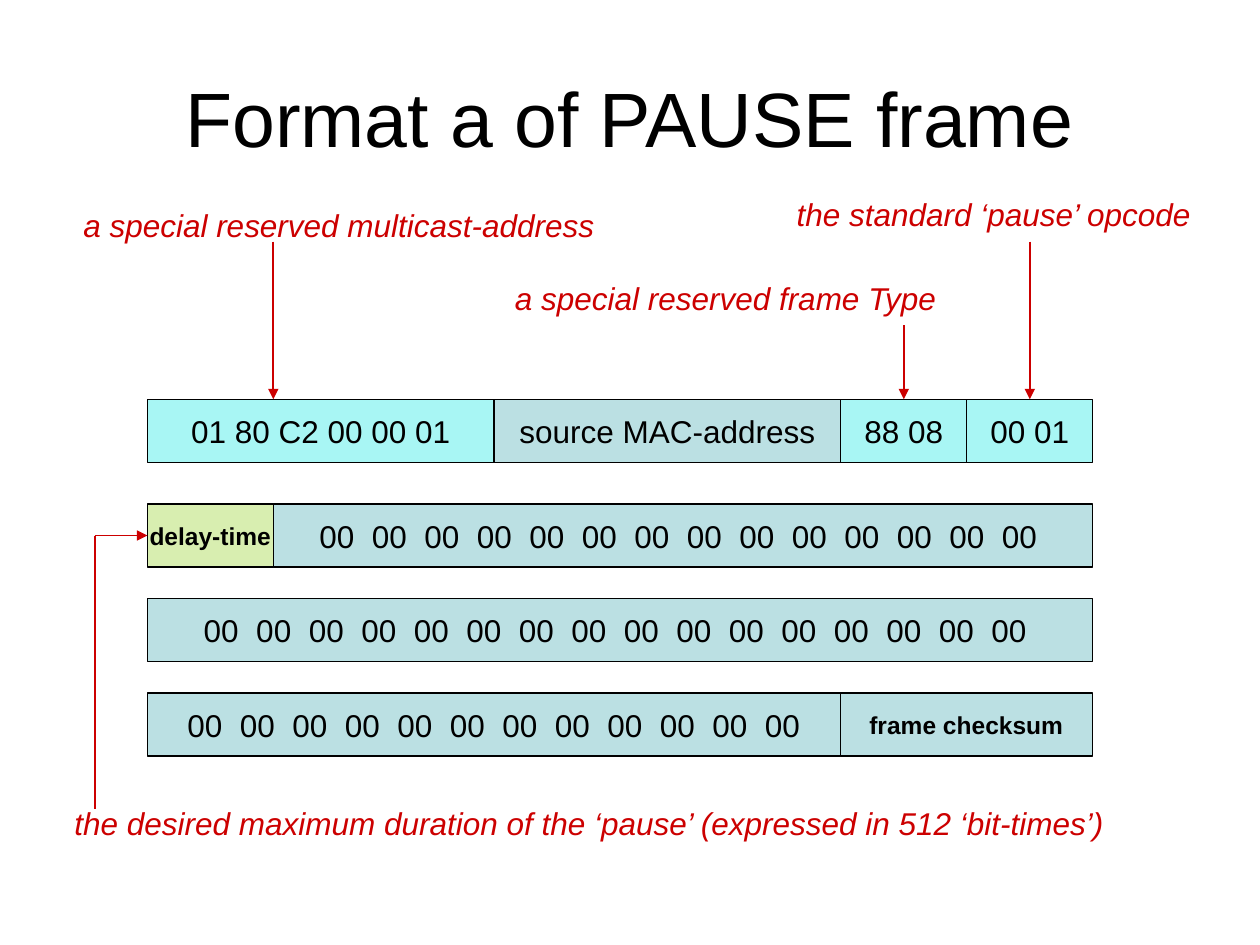
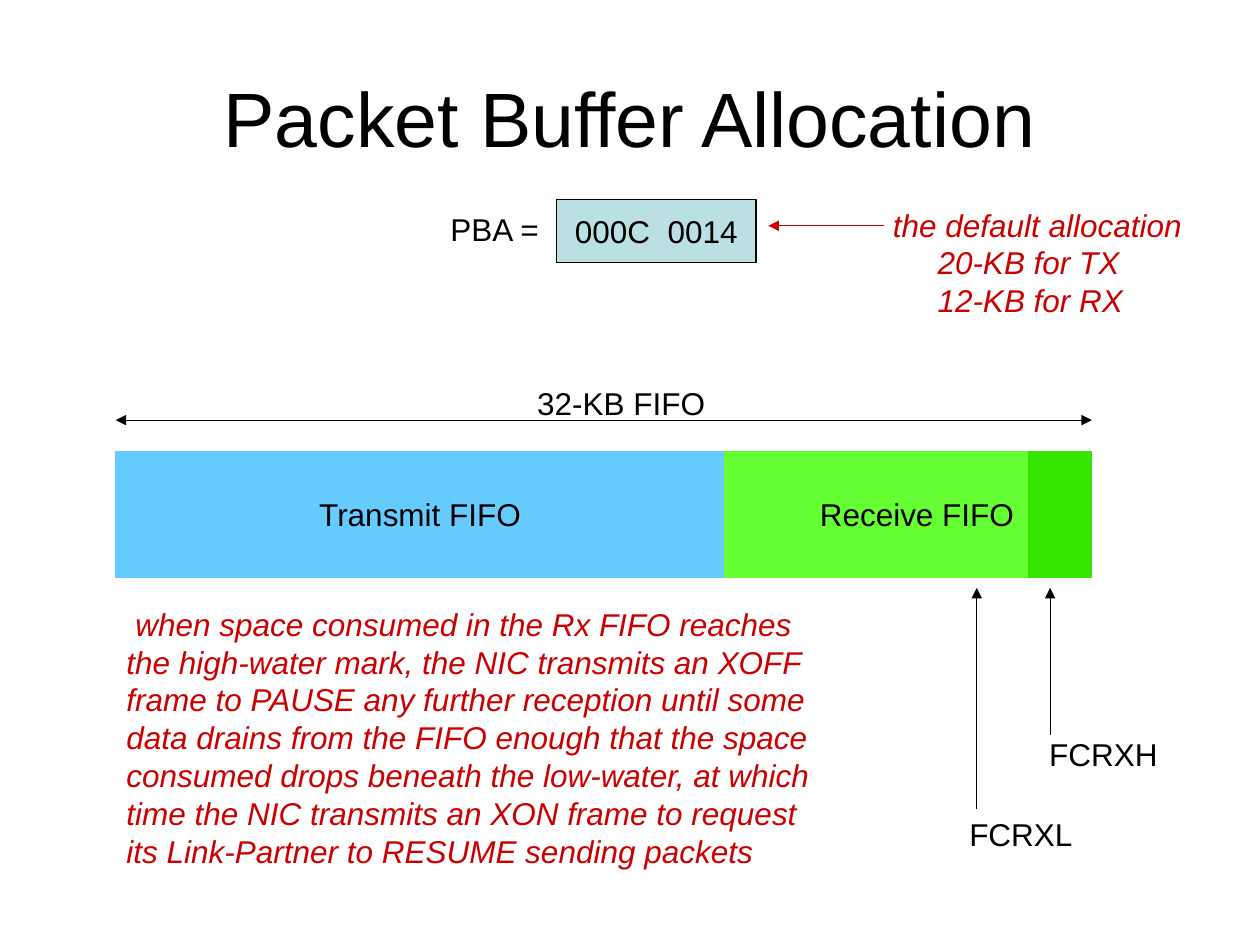
"""Build two slides on PAUSE frames and packet buffer allocation."""
from dataclasses import dataclass

from lxml import etree
from pptx import Presentation
from pptx import util as u
from pptx.dml.color import RGBColor
from pptx.enum import shapes, text
from pptx.oxml import ns

BLACK = RGBColor(0x00, 0x00, 0x00)
RED = RGBColor(0xCC, 0x00, 0x00)
CYAN = RGBColor(0xA8, 0xF6, 0xF4)
TEAL = RGBColor(0xBB, 0xE0, 0xE3)
LIME = RGBColor(0xD8, 0xEE, 0xB0)
BLUE = RGBColor(0x66, 0xCC, 0xFF)
GREEN = RGBColor(0x66, 0xFF, 0x33)
DARK_GREEN = RGBColor(0x37, 0xE6, 0x00)
FONT = "Arial"
SPACE = 0.18
CELL_H = 1.27
FRAME_X = 2.97
TOP, LEFT = 0, 1


@dataclass
class Cell:
    """One field in a horizontal row, with side insets in centimetres."""
    words: str
    width: float
    fill: RGBColor = TEAL
    line: RGBColor = BLACK
    size: int = 18
    bold: bool = False
    left_inset: float = 0
    right_inset: float = 0


@dataclass
class Note:
    """A free label whose lines may each have a left indent."""
    x: float
    y: float
    width: float
    lines: tuple[str, ...]
    color: RGBColor = BLACK
    indents: tuple[float, ...] = ()


@dataclass
class Arrow:
    """A straight line with optional arrowheads and an optional target."""
    x1: float
    y1: float
    x2: float
    y2: float
    color: RGBColor = BLACK
    width: float = 0.75
    head: bool = False
    tail: bool = True
    target: object = None
    site: int = TOP


def add_run(p, words: str, size: int, color: RGBColor,
            bold: bool = False, italic: bool = False) -> None:
    """Append one formatted run to a paragraph."""
    r = p.add_run()
    r.text = words
    r.font.name, r.font.size = FONT, u.Pt(size)
    r.font.bold, r.font.italic = bold, italic
    r.font.color.rgb = color


def add_title(s, words: str) -> None:
    """Draw the centred slide title."""
    sp = s.shapes.add_textbox(u.Cm(1.27), u.Cm(0.76), u.Cm(22.86), u.Cm(3.18))
    tf = sp.text_frame
    tf.word_wrap = True
    tf.vertical_anchor = text.MSO_ANCHOR.MIDDLE
    p = tf.paragraphs[0]
    p.alignment = text.PP_ALIGN.CENTER
    add_run(p, words, 44, BLACK)


def add_row(s, x: float, y: float, cells: list[Cell], height: float = CELL_H) -> list:
    """Draw touching cells from left to right and return their shapes."""
    drawn = []
    for cell in cells:
        sp = s.shapes.add_shape(shapes.MSO_SHAPE.RECTANGLE, u.Cm(x), u.Cm(y),
                                u.Cm(cell.width), u.Cm(height))
        sp.shadow.inherit = False
        sp.fill.solid()
        sp.fill.fore_color.rgb = cell.fill
        sp.line.color.rgb = cell.line
        sp.line.width = u.Pt(0.75)
        if cell.words:
            tf = sp.text_frame
            tf.word_wrap = True
            tf.vertical_anchor = text.MSO_ANCHOR.MIDDLE
            tf.margin_left = u.Cm(cell.left_inset)
            tf.margin_right = u.Cm(cell.right_inset)
            p = tf.paragraphs[0]
            p.alignment = text.PP_ALIGN.CENTER
            add_run(p, cell.words, cell.size, BLACK, cell.bold)
        drawn.append(sp)
        x += cell.width
    return drawn


def add_note(s, note: Note) -> None:
    """Draw a label; red labels are italic."""
    sp = s.shapes.add_textbox(u.Cm(note.x), u.Cm(note.y), u.Cm(note.width),
                              u.Cm(0.25 + 0.77 * len(note.lines)))
    tf = sp.text_frame
    tf.word_wrap = True
    for i, words in enumerate(note.lines):
        p = tf.add_paragraph() if i else tf.paragraphs[0]
        if note.indents:
            p._p.get_or_add_pPr().set("marL", str(u.Cm(note.indents[i])))
        add_run(p, words, 18, note.color, italic=note.color == RED)


def add_arrow(s, arrow: Arrow) -> None:
    """Draw a straight connector and join it to its target."""
    sp = s.shapes.add_connector(shapes.MSO_CONNECTOR.STRAIGHT, u.Cm(arrow.x1),
                                u.Cm(arrow.y1), u.Cm(arrow.x2), u.Cm(arrow.y2))
    if arrow.target is not None:
        sp.end_connect(arrow.target, arrow.site)
    sp.line.color.rgb = arrow.color
    sp.line.width = u.Pt(arrow.width)
    ln = sp.line._get_or_add_ln()
    for tag, shown in (("a:headEnd", arrow.head), ("a:tailEnd", arrow.tail)):
        if shown:
            etree.SubElement(ln, ns.qn(tag), type="triangle")
    etree.SubElement(sp._element.spPr, ns.qn("a:effectLst"))


def zeros(count: int) -> str:
    """Return a run of zero bytes."""
    return "  ".join(["00"] * count)


def pause_frame(s) -> None:
    """Draw the layout of a PAUSE frame."""
    add_title(s, "Format a of PAUSE frame")
    header_y, delay_y = 8.05, 10.16
    header = add_row(s, FRAME_X, header_y, [
        Cell("01 80 C2 00 00 01", 6.99, CYAN),
        Cell("source MAC-address", 6.99),
        Cell("88 08", 2.54, CYAN),
        Cell("00 01", 2.54, CYAN)])
    delay = add_row(s, FRAME_X, delay_y, [
        Cell("delay-time", 2.54, LIME, size=14, bold=True),
        Cell(zeros(14), 16.51, right_inset=SPACE)])[0]
    add_row(s, FRAME_X, 12.07, [Cell(zeros(16), 19.05, right_inset=SPACE)])
    add_row(s, FRAME_X, 13.97, [
        Cell(zeros(12), 13.97),
        Cell("frame checksum", 5.08, size=14, bold=True)])
    for x, y, width, words, spaces in (
            (1.07, 4.02, 11.3, "a special reserved multicast-address", 2),
            (9.95, 5.5, 9.4, "a special reserved frame Type", 1),
            (15.45, 3.81, 9, "the standard ‘pause’ opcode", 2),
            (1.07, 16.09, 21.7, "the desired maximum duration of the ‘pause’ "
                                "(expressed in 512 ‘bit-times’)", 1)):
        add_note(s, Note(x, y, width, (words,), RED, (spaces * SPACE,)))
    delay_mid, elbow_x = delay_y + CELL_H / 2, 1.91
    for arrow in (
            Arrow(5.51, 4.87, 5.51, header_y),
            Arrow(18.22, 6.56, 18.22, header_y, target=header[2]),
            Arrow(20.76, 4.87, 20.76, header_y, target=header[3]),
            Arrow(elbow_x, delay_mid, FRAME_X, delay_mid, target=delay, site=LEFT),
            Arrow(elbow_x, delay_mid, elbow_x, 16.31, tail=False)):
        arrow.color, arrow.width = RED, 1
        add_arrow(s, arrow)


def buffer_allocation(s) -> None:
    """Draw how the FIFO is split between transmit and receive."""
    add_title(s, "Packet Buffer Allocation")
    add_row(s, 11.22, 4.02, [Cell("000C  0014", 4.02)])
    add_row(s, 2.33, 9.1, [
        Cell("Transmit FIFO", 12.28, BLUE, BLUE),
        Cell("Receive FIFO", 6.13, GREEN, GREEN, left_inset=9 * SPACE),
        Cell("", 1.27, DARK_GREEN, DARK_GREEN)], 2.54)
    for note in (
            Note(10.58, 7.62, 3.99, ("32-KB FIFO",)),
            Note(8.83, 4.11, 2.6, ("PBA =",)),
            Note(20.9, 14.7, 2.8, ("FCRXH",)),
            Note(19.29, 16.3, 2.7, ("FCRXL",)),
            Note(17.57, 4.02, 6.7,
                 ("the default allocation", "20-KB for TX", "12-KB for RX"),
                 RED, (SPACE, 6 * SPACE, 6 * SPACE)),
            Note(2.12, 12.07, 14.7,
                 ("when space consumed in the Rx FIFO reaches",
                  "the high-water mark, the NIC transmits an XOFF",
                  "frame to PAUSE any further reception until some",
                  "data drains from the FIFO enough that the space",
                  "consumed drops beneath the low-water, at which",
                  "time the NIC transmits an XON frame to request",
                  "its Link-Partner to RESUME sending packets"),
                 RED, (2 * SPACE,) + (SPACE,) * 6)):
        add_note(s, note)
    for arrow in (
            Arrow(17.83, 4.55, 15.49, 4.55, RED),
            Arrow(2.33, 8.47, 22.01, 8.47, head=True),
            Arrow(21.17, 14.82, 21.17, 11.85),
            Arrow(19.69, 16.31, 19.69, 11.85)):
        add_arrow(s, arrow)


def main() -> None:
    """Build and save the presentation."""
    prs = Presentation()
    prs.slide_width, prs.slide_height = u.Cm(25.4), u.Cm(19.05)
    for draw in (pause_frame, buffer_allocation):
        draw(prs.slides.add_slide(prs.slide_layouts[6]))
    prs.save("out.pptx")


if __name__ == "__main__":
    main()
